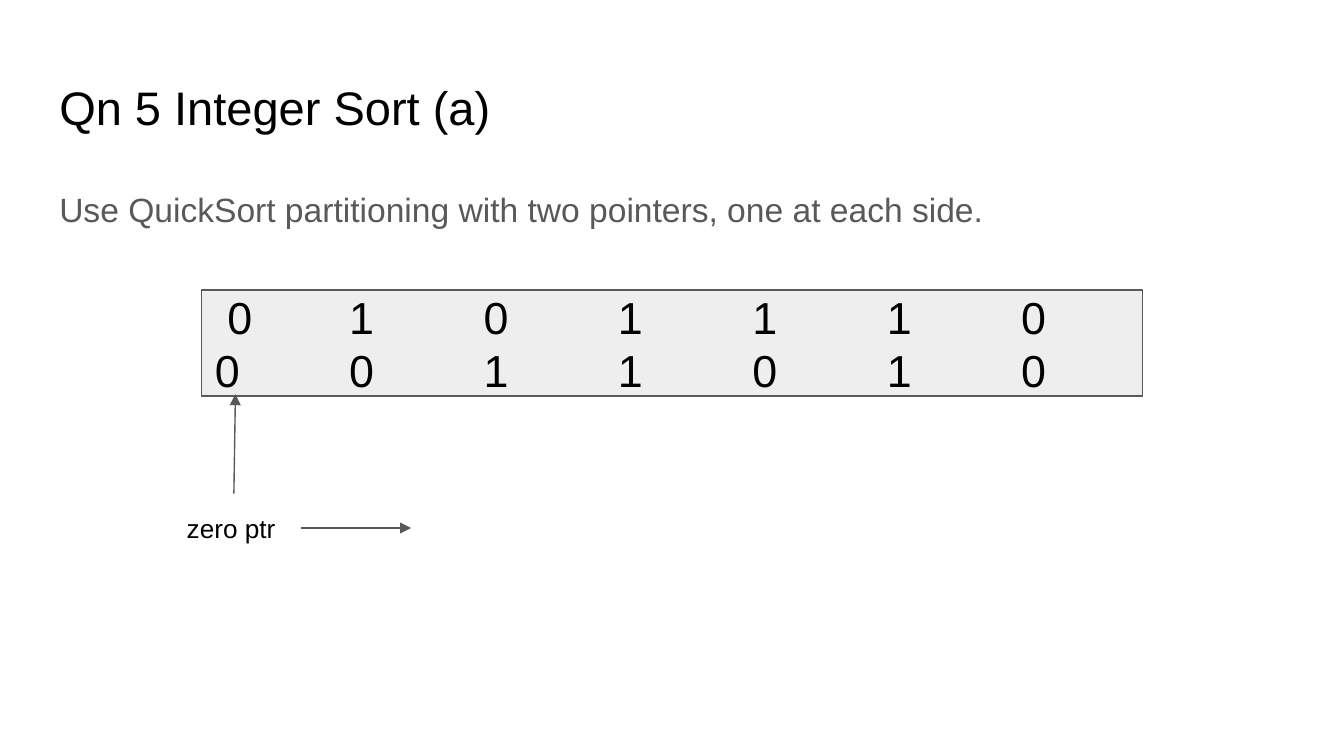
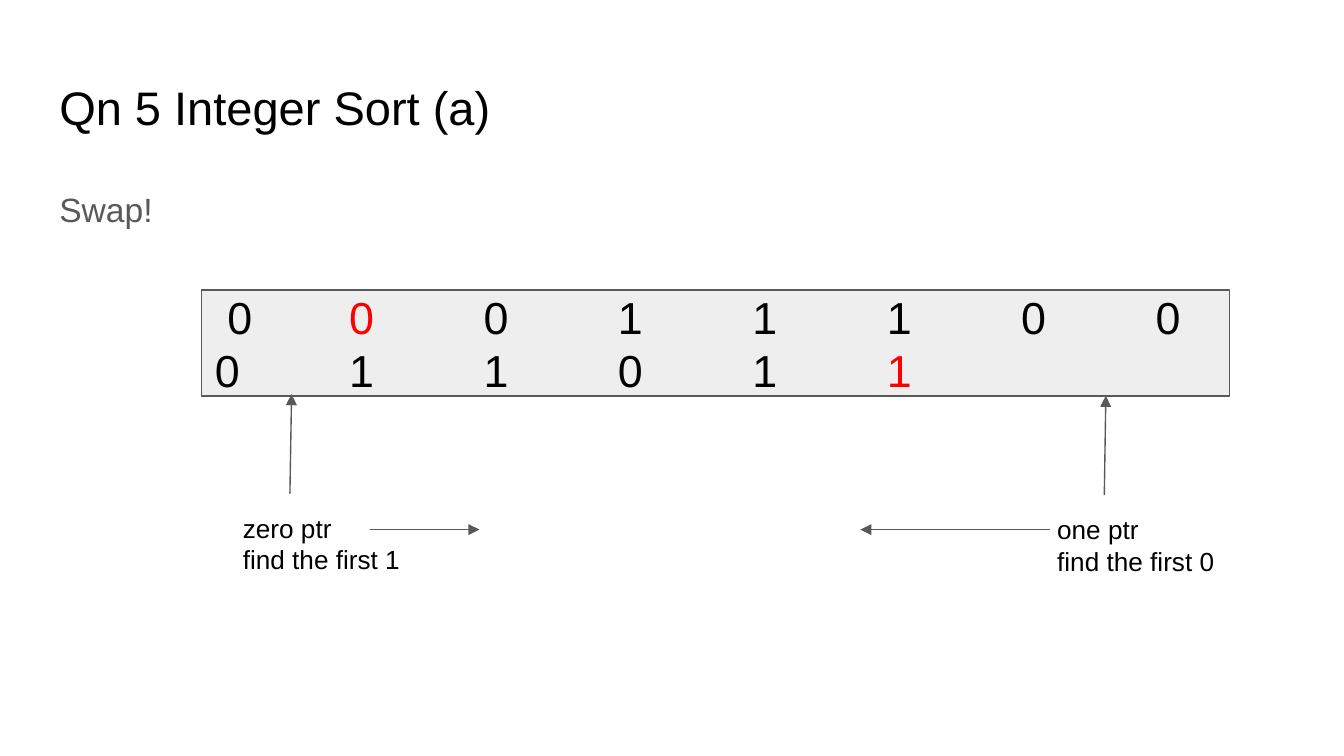
"""Build two slides on partitioning an array of zeros and ones with two pointers."""
from dataclasses import dataclass

from lxml import etree
from pptx import Presentation
from pptx.dml.color import RGBColor
from pptx.enum import shapes, text
from pptx.oxml.ns import qn
from pptx.util import Cm, Pt

TITLE = "Qn 5 Integer Sort (a)"
SLIDES = [
    dict(body="Use QuickSort partitioning with two pointers, one at each side.",
         bits="01011100011010", swaps=(), width=17.78,
         marks=[dict(label="zero ptr", left=3.28, top=9.43, size=(2.44, 1.12),
                     move=(5.69, 7.77, 9.98))]),
    dict(body="Swap!",
         bits="00011100011011", swaps=(1, 13), width=19.43,
         marks=[dict(label="one ptr\nfind the first 0", left=19.73, top=9.46,
                     size=(5.38, 1.7), move=(19.84, 16.26, 10.01)),
                dict(label="zero ptr\nfind the first 1", left=4.34, top=9.43,
                     size=(3.66, 1.7), move=(7.0, 9.06, 10.01))]),
]


@dataclass(frozen=True)
class Theme:
    font: str = "Arial"
    ink: str = "000000"
    gray: str = "595959"
    fill: str = "EEEEEE"
    swap: str = "FF0000"
    title: float = 25.2
    body: float = 18
    bits: float = 24
    label: float = 14
    line: float = 0.75
    inset: float = 0.25
    tab: float = 2.54


LOOK = Theme()


def paint(run, size, color):
    run.font.name = LOOK.font
    run.font.size = Pt(size)
    run.font.color.rgb = RGBColor.from_string(color)


def setup(frame, anchor=text.MSO_ANCHOR.TOP, fit=text.MSO_AUTO_SIZE.NONE):
    frame.word_wrap = True
    frame.auto_size = fit
    frame.vertical_anchor = anchor
    frame.margin_left = frame.margin_right = Cm(LOOK.inset)
    frame.margin_top = frame.margin_bottom = Cm(LOOK.inset)


def write(frame, words, size, color):
    frame.text = words
    for para in frame.paragraphs:
        para.alignment = text.PP_ALIGN.LEFT
        for run in para.runs:
            paint(run, size, color)


def place(shape, left, top, width, height):
    shape.left, shape.top = Cm(left), Cm(top)
    shape.width, shape.height = Cm(width), Cm(height)


def heads(slide, words):
    title, body = slide.shapes.title, slide.placeholders[1]
    place(title, 0.87, 1.24, 23.67, 1.6)
    place(body, 0.87, 3.2, 23.67, 5.28)
    for shape, line, size, color in ((title, TITLE, LOOK.title, LOOK.ink),
                                     (body, words, LOOK.body, LOOK.gray)):
        setup(shape.text_frame)
        write(shape.text_frame, line, size, color)
    para = body.text_frame.paragraphs[0]
    para.line_spacing = 1.15
    para.space_before = Pt(0)
    props = para._p.get_or_add_pPr()
    props.set("marL", "0")
    props.set("indent", "0")
    etree.SubElement(props, qn("a:buNone"))


def array(slide, bits, swaps, width):
    box = slide.shapes.add_shape(shapes.MSO_SHAPE.RECTANGLE, Cm(3.81), Cm(5.48),
                                 Cm(width), Cm(2.01))
    box.shadow.inherit = False
    box.fill.solid()
    box.fill.fore_color.rgb = RGBColor.from_string(LOOK.fill)
    box.line.color.rgb = RGBColor.from_string(LOOK.gray)
    box.line.width = Pt(LOOK.line)
    setup(box.text_frame, text.MSO_ANCHOR.MIDDLE)
    para = box.text_frame.paragraphs[0]
    para.alignment = text.PP_ALIGN.LEFT
    props = para._p.get_or_add_pPr()
    props.set("marL", "0")
    props.set("indent", str(Cm(0.24)))
    props.set("defTabSz", str(Cm(LOOK.tab)))
    for spot, bit in enumerate(bits):
        run = para.add_run()
        run.text = "\t" + bit if spot else bit
        paint(run, LOOK.bits, LOOK.swap if spot in swaps else LOOK.ink)


def arrow(slide, *ends):
    line = slide.shapes.add_connector(shapes.MSO_CONNECTOR.STRAIGHT, *map(Cm, ends))
    line.line.color.rgb = RGBColor.from_string(LOOK.gray)
    line.line.width = Pt(LOOK.line)
    etree.SubElement(line.line._get_or_add_ln(), qn("a:tailEnd"), type="triangle")
    etree.SubElement(line._element.spPr, qn("a:effectLst"))


def mark(slide, label, left, top, size, move):
    arrow(slide, left + 1.14, top - 0.1, left + 1.17, top - 1.98)
    box = slide.shapes.add_textbox(Cm(left), Cm(top), *map(Cm, size))
    setup(box.text_frame, fit=text.MSO_AUTO_SIZE.SHAPE_TO_FIT_TEXT)
    write(box.text_frame, label, LOOK.label, LOOK.ink)
    start, end, level = move
    arrow(slide, start, level, end, level)


def main():
    deck = Presentation()
    deck.slide_width, deck.slide_height = Cm(25.4), Cm(14.29)
    for page in SLIDES:
        slide = deck.slides.add_slide(deck.slide_layouts[1])
        heads(slide, page["body"])
        array(slide, page["bits"], page["swaps"], page["width"])
        for item in page["marks"]:
            mark(slide, **item)
    deck.save("out.pptx")


if __name__ == "__main__":
    main()
